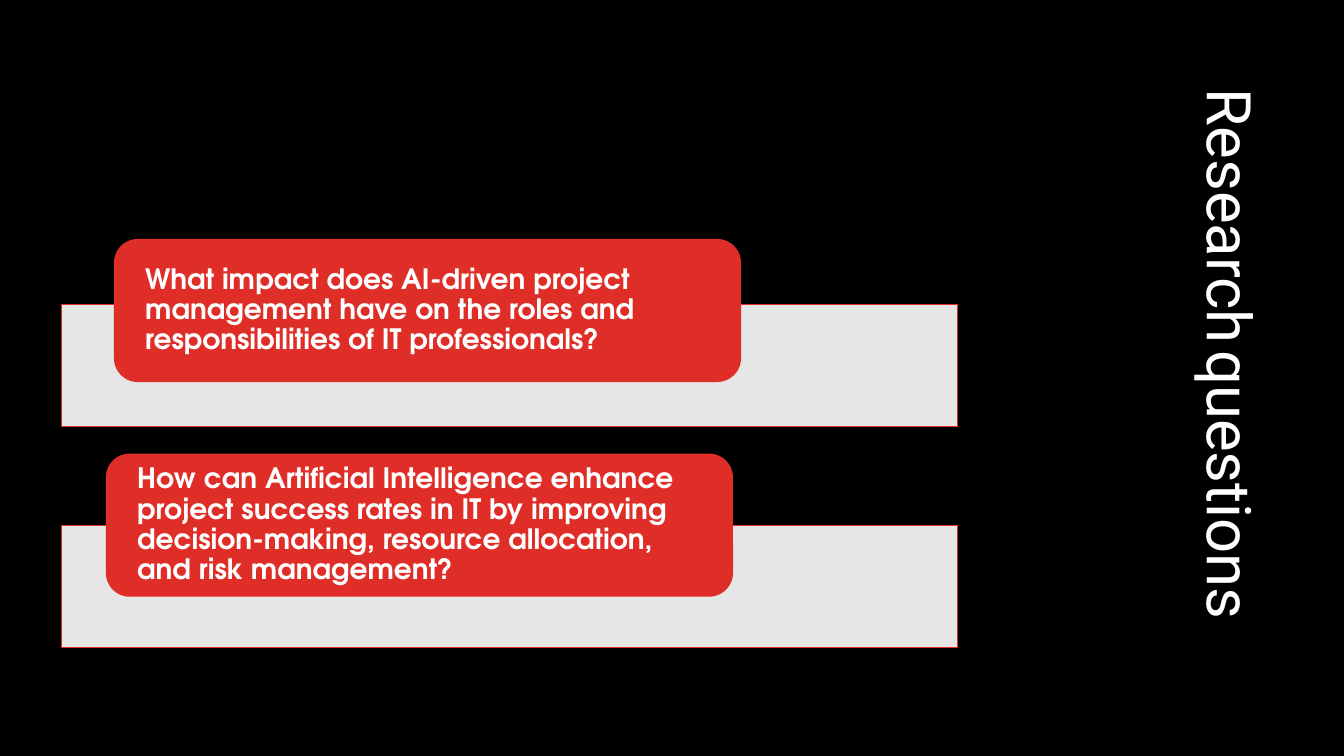
from lxml import etree
from pptx import Presentation
from pptx import util as u
from pptx.dml.color import RGBColor
from pptx.enum import shapes, text
from pptx.oxml.ns import qn

WIDTH, HEIGHT = 13.33, 7.5
BLACK, WHITE, RED = "000000", "FFFFFF", "DF2E28"
TITLE = [("Research", 44), (" ", 18), ("questions", 44)]
TITLE_BOX = (10.95, 0.78, 1.68, 5.97)
QUESTIONS = [
    ("What impact does AI-driven project management have on the roles and "
     "responsibilities of IT professionals?", 1.13, 2.37),
    ("How can Artificial Intelligence enhance project success rates in IT by "
     "improving decision-making, resource allocation, and risk management?", 1.05, 4.5),
]
BAR_LEFT, BAR_TOP, BAR_WIDTH, BAR_HEIGHT, BAR_STEP = 0.61, 3.02, 8.89, 1.21, 2.19
CARD_WIDTH, CARD_HEIGHT, CARD_PADDING = 6.22, 1.42, 0.07


def color(value):
    return RGBColor.from_string(value)


def add_block(slide, kind, box, fill, line=None, opacity=None):
    shape = slide.shapes.add_shape(kind, *map(u.Inches, box))
    shape.shadow.inherit = False
    shape.fill.solid()
    shape.fill.fore_color.rgb = color(fill)
    if opacity:
        fill_color = shape.fill._xPr.find(qn("a:solidFill"))[0]
        etree.SubElement(fill_color, qn("a:alpha")).set("val", str(opacity * 1000))
    if line:
        shape.line.color.rgb = color(line)
        shape.line.width = u.Pt(0.75)
    else:
        shape.line.fill.background()


def add_text(slide, runs, box, font, bold=False, align=None, anchor=None,
             margins=(0.1, 0.05), spacing=None, after=None, vertical=None):
    shape = slide.shapes.add_textbox(*map(u.Inches, box))
    frame = shape.text_frame
    frame.word_wrap = True
    frame.margin_left = frame.margin_right = u.Inches(margins[0])
    frame.margin_top = frame.margin_bottom = u.Inches(margins[1])
    if anchor is not None:
        frame.vertical_anchor = anchor
    if vertical:
        frame.auto_size = text.MSO_AUTO_SIZE.SHAPE_TO_FIT_TEXT
        frame._txBody.bodyPr.set("vert", vertical)
    paragraph = frame.paragraphs[0]
    paragraph.alignment = align
    paragraph.line_spacing = spacing
    if after:
        paragraph.space_after = u.Pt(after)
    for words, size in runs:
        run = paragraph.add_run()
        run.text = words
        run.font.name = font
        run.font.size = u.Pt(size)
        run.font.bold = bold
        run.font.color.rgb = color(WHITE)


def main():
    presentation = Presentation()
    presentation.slide_width = u.Inches(WIDTH)
    presentation.slide_height = u.Inches(HEIGHT)
    slide = presentation.slides.add_slide(presentation.slide_layouts[6])
    slide.background.fill.solid()
    slide.background.fill.fore_color.rgb = color(BLACK)

    for row, (question, left, top) in enumerate(QUESTIONS):
        bar = (BAR_LEFT, BAR_TOP + row * BAR_STEP, BAR_WIDTH, BAR_HEIGHT)
        add_block(slide, shapes.MSO_SHAPE.RECTANGLE, bar, WHITE, line=RED, opacity=90)
        card = (left, top, CARD_WIDTH, CARD_HEIGHT)
        add_block(slide, shapes.MSO_SHAPE.ROUNDED_RECTANGLE, card, RED)
        inner = (left + CARD_PADDING, top + CARD_PADDING,
                 CARD_WIDTH - 2 * CARD_PADDING, CARD_HEIGHT - 2 * CARD_PADDING)
        add_text(slide, [(question, 20)], inner, "TeX Gyre Adventor", bold=True,
                 anchor=text.MSO_ANCHOR.MIDDLE, margins=(0.24, 0), spacing=0.9, after=7)

    add_text(slide, TITLE, TITLE_BOX, "Roboto", align=text.PP_ALIGN.CENTER, vertical="eaVert")
    presentation.save("out.pptx")


if __name__ == "__main__":
    main()
